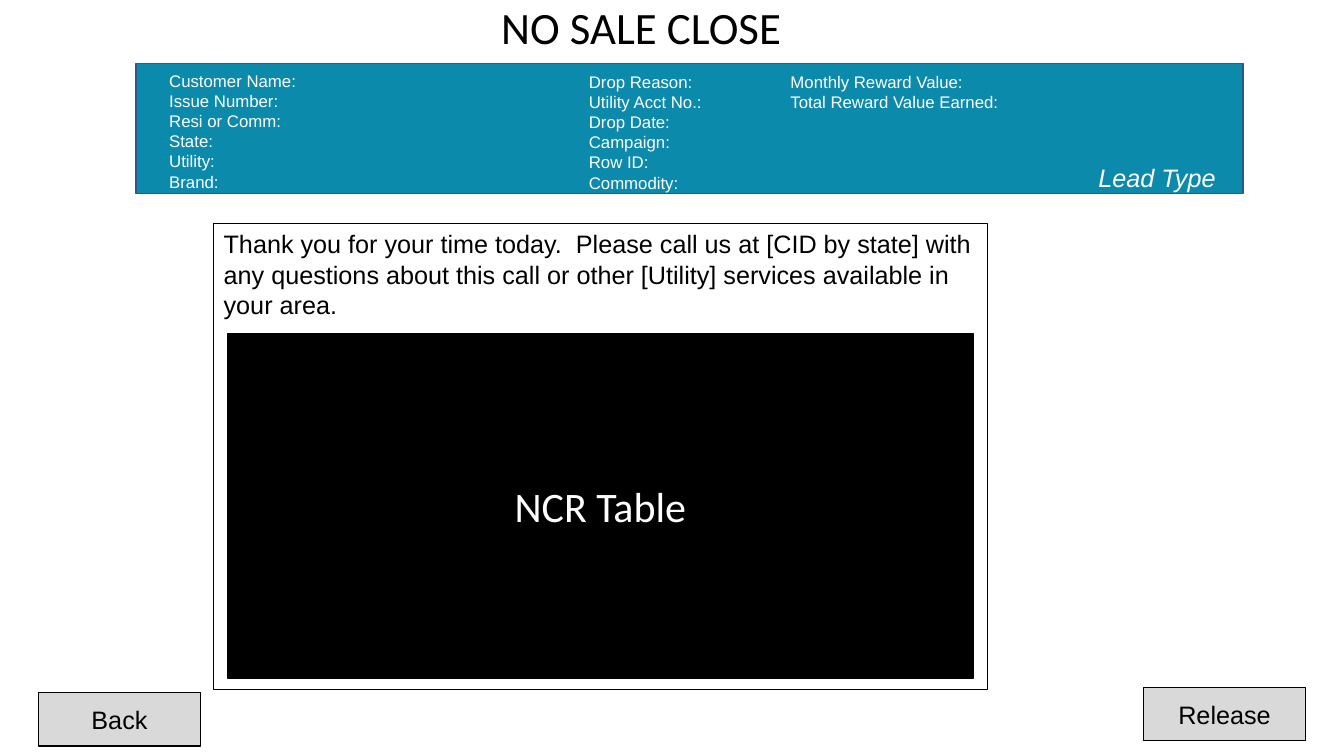
from lxml.etree import SubElement
from pptx import Presentation
from pptx.dml.color import RGBColor
from pptx.enum.shapes import MSO_SHAPE
from pptx.enum.text import MSO_ANCHOR, MSO_AUTO_SIZE, PP_ALIGN
from pptx.oxml.ns import qn
from pptx.util import Inches, Pt

WIDE, HIGH = 13.33, 7.5
BLACK, WHITE, GREY, TEAL, NAVY = "000000", "FFFFFF", "D9D9D9", "0C8AAC", "325491"
LEFT, MID = PP_ALIGN.LEFT, PP_ALIGN.CENTER
CLIENT = ["Customer Name:", "Issue Number:", "Resi or Comm:", "State:",
          "Utility:", "Brand:"]
DROP = ["Drop Reason:\tMonthly Reward Value:",
        "Utility Acct No.:\tTotal Reward Value Earned:",
        "Drop Date:", "Campaign:", "Row ID:", "Commodity:"]
THANKS = ("Thank you for your time today.  Please call us at [CID by state] with "
          "any questions about this call or other [Utility] services available "
          "in your area.")


def color(code):
    """Turn a hex string into a colour."""
    return RGBColor.from_string(code)


def write(shape, lines, size, ink, face="Arial", align=LEFT,
          anchor=MSO_ANCHOR.TOP, slant=False, tab=None):
    """Fill a shape with lines of text in one style."""
    frame = shape.text_frame
    frame.word_wrap = True
    frame.auto_size = MSO_AUTO_SIZE.NONE
    frame.vertical_anchor = anchor
    frame.text = "\n".join(lines)
    for para in frame.paragraphs:
        if tab:
            stops = SubElement(para._p.get_or_add_pPr(), qn("a:tabLst"))
            SubElement(stops, qn("a:tab"), pos=str(Inches(tab)), algn="l")
        para.alignment = align
        font = para.font
        font.name, font.size, font.italic = face, Pt(size), slant
        font.color.rgb = color(ink)


def rect(shapes, box, fill, edge=BLACK, width=1):
    """Draw a flat rectangle, hollow if it has no fill."""
    shape = shapes.add_shape(MSO_SHAPE.RECTANGLE, *map(Inches, box))
    shape.shadow.inherit = False
    if fill:
        shape.fill.solid()
        shape.fill.fore_color.rgb = color(fill)
    else:
        shape.fill.background()
    shape.line.color.rgb = color(edge)
    shape.line.width = Pt(width)
    return shape


def label(shapes, box, lines, size, **style):
    """Place white text in a clear box."""
    write(shapes.add_textbox(*map(Inches, box)), lines, size, WHITE, **style)


def title(slide, box):
    """Set the slide's title."""
    head = slide.shapes.title
    head.left, head.top, head.width, head.height = map(Inches, box)
    write(head, ["NO SALE CLOSE"], 32, BLACK, "Calibri", MID, MSO_ANCHOR.MIDDLE)
    head.text_frame.paragraphs[0].line_spacing = 0.9


def banner(slide, box):
    """Build the band of account fields."""
    x, y, wide, high = box
    shapes = slide.shapes.add_group_shape().shapes
    rect(shapes, box, TEAL, NAVY)
    label(shapes, (x + 0.23, y + 0.02, wide * 0.2, high), CLIENT, 12)
    label(shapes, (x + wide * 0.4, y + 0.03, wide * 0.43, high), DROP, 12, tab=2)
    label(shapes, (x + wide - 1.6, y + high - 0.36, 1.49, 0.4),
          ["Lead Type"], 18, align=MID, slant=True)


def panel(slide, box):
    """Build the closing script with its table area."""
    x, y, wide, high = box
    shapes = slide.shapes.add_group_shape().shapes
    write(rect(shapes, box, None, width=0.75), [THANKS], 18, BLACK)
    area = rect(shapes, (x + 0.14, y + 1.09, wide - 0.28, high - 1.2), BLACK)
    write(area, ["NCR Table"], 30, WHITE, "Calibri", MID, MSO_ANCHOR.MIDDLE)


def button(slide, box, name):
    """Draw a grey button."""
    write(rect(slide.shapes, box, GREY), [name], 18, BLACK, align=MID,
          anchor=MSO_ANCHOR.MIDDLE)


def main():
    """Build and save the slide."""
    deck = Presentation()
    deck.slide_width, deck.slide_height = Inches(WIDE), Inches(HIGH)
    slide = deck.slides.add_slide(deck.slide_layouts[5])
    title(slide, (0.61, 0.12, 11.5, 0.35))
    button(slide, (WIDE - 1.99, HIGH - 0.68, 1.61, 0.53), "Release")
    button(slide, (0.38, HIGH - 0.63, 1.61, 0.53), "Back")
    panel(slide, (2.12, 2.22, 7.67, 4.62))
    banner(slide, (1.35, 0.63, 10.98, 1.29))
    deck.save("out.pptx")


if __name__ == "__main__":
    main()
